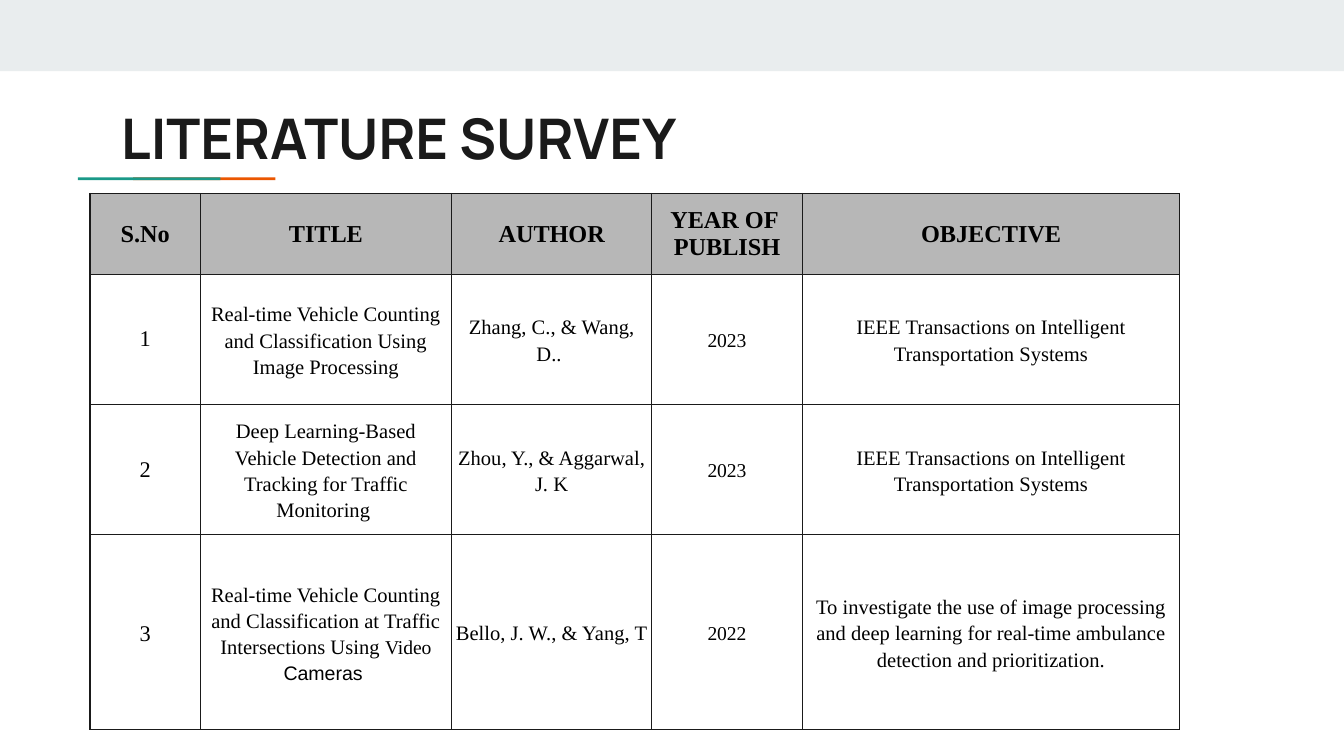
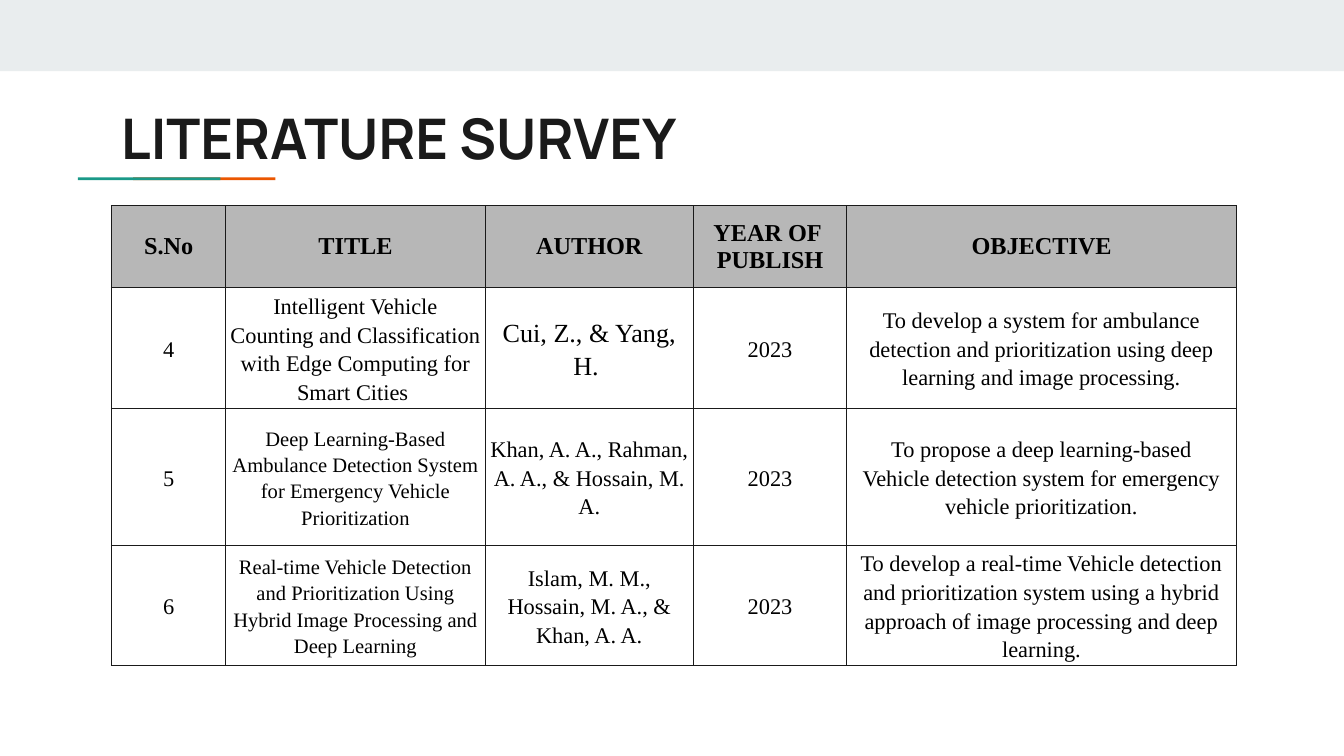
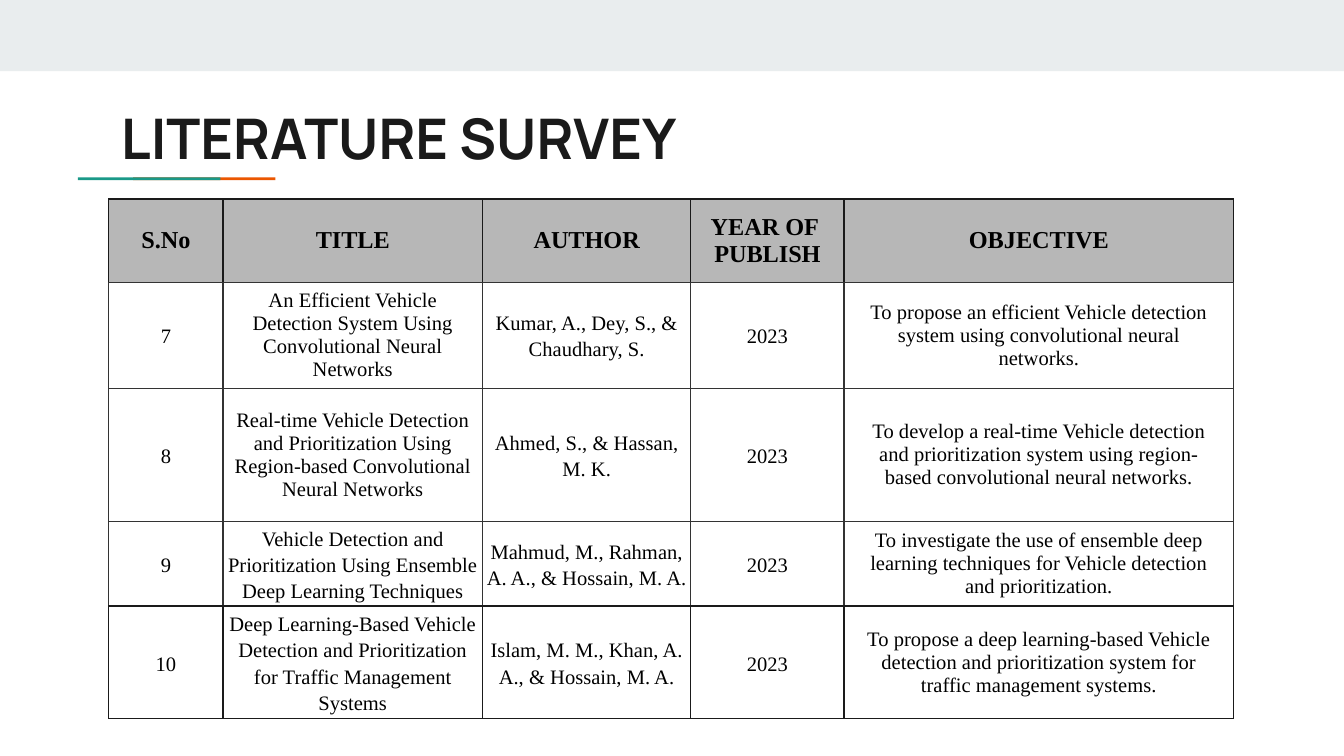
import dataclasses

import lxml.etree
import pptx
import pptx.dml.color
import pptx.enum.shapes
import pptx.enum.text
import pptx.oxml.ns
import pptx.util

Inches = pptx.util.Inches
qn = pptx.oxml.ns.qn

HEADINGS = ("S.No", "TITLE", "AUTHOR", "YEAR OF \nPUBLISH", "OBJECTIVE")
INK, GREY_RULE = "1A1A1A", "333333"
HEADER_MARGINS = (0.1, 0.1)
CELL_MARGINS = [(0.03, 0.02)] * 4 + [(0.1, 0.02)]
LOOSE, SINGLE = 1.15, 1.0


def color(value):
    return pptx.dml.color.RGBColor.from_string(value)


@dataclasses.dataclass
class Span:
    text: str
    size: float
    font: str = "Times New Roman"
    bold: bool = False


@dataclasses.dataclass
class Entry:
    """A table cell that departs from its column's size or line spacing."""
    text: str
    size: float = None
    spacing: float = None
    tail: tuple = ()


@dataclasses.dataclass
class Survey:
    left: float
    top: float
    widths: tuple
    heights: tuple
    sizes: tuple
    spacings: tuple
    rules: tuple
    papers: tuple


class SurveyDeck:
    def __init__(self):
        self.deck = pptx.Presentation()
        self.deck.slide_width = Inches(10)
        self.deck.slide_height = Inches(10) * 9 // 16
        self.page = None

    def add_page(self, title):
        self.page = self.deck.slides.add_slide(self.deck.slide_layouts[5])
        self.add_bar(0, 0, 10, 0.53, "E9EDEE")
        self.add_bar(0.99, 1.32, 1.06, 0.02, "EB5600")
        self.add_bar(0.58, 1.32, 1.06, 0.02, "1A9988")
        self.add_title(title)

    def add_bar(self, left, top, width, height, fill):
        bar = self.page.shapes.add_shape(
            pptx.enum.shapes.MSO_SHAPE.RECTANGLE,
            Inches(left), Inches(top), Inches(width), Inches(height))
        bar.shadow.inherit = False
        bar.fill.solid()
        bar.fill.fore_color.rgb = color(fill)
        bar.line.fill.background()

    def add_title(self, text):
        box = self.page.shapes.title
        box.left, box.top = Inches(0.8), Inches(0.67)
        box.width, box.height = Inches(8.41), Inches(0.59)
        frame = box.text_frame
        frame.margin_left = frame.margin_right = Inches(0.1)
        frame.margin_top = frame.margin_bottom = Inches(0.1)
        frame.auto_size = pptx.enum.text.MSO_AUTO_SIZE.NONE
        frame.vertical_anchor = pptx.enum.text.MSO_ANCHOR.TOP
        para = frame.paragraphs[0]
        para.alignment = pptx.enum.text.PP_ALIGN.LEFT
        self.add_span(para, Span(text, 30, "Manrope", True), INK)

    def add_span(self, para, span, ink="000000"):
        run = para.add_run()
        run.text = span.text
        run.font.name = span.font
        run.font.size = pptx.util.Pt(span.size)
        run.font.bold = span.bold
        run.font.color.rgb = color(ink)

    def add_borders(self, cell, rule, bottom_rule):
        properties = cell._tc.get_or_add_tcPr()
        for side in "LRTB":
            line = lxml.etree.SubElement(
                properties, qn("a:ln" + side), w=str(pptx.util.Pt(0.75)))
            fill = lxml.etree.SubElement(line, qn("a:solidFill"))
            lxml.etree.SubElement(
                fill, qn("a:srgbClr"), val=bottom_rule if side == "B" else rule)

    def fill_cell(self, cell, lines, spacing, margins):
        """Write lines, each a list of spans, centred in the cell."""
        cell.margin_left = cell.margin_right = Inches(margins[0])
        cell.margin_top = cell.margin_bottom = Inches(margins[1])
        cell.vertical_anchor = pptx.enum.text.MSO_ANCHOR.MIDDLE
        frame = cell.text_frame
        for index, spans in enumerate(lines):
            para = frame.add_paragraph() if index else frame.paragraphs[0]
            para.alignment = pptx.enum.text.PP_ALIGN.CENTER
            para.line_spacing = spacing
            for span in spans:
                self.add_span(para, span)

    def add_survey(self, survey):
        table = self.page.shapes.add_table(
            len(survey.heights), len(survey.widths),
            Inches(survey.left), Inches(survey.top),
            Inches(sum(survey.widths)), Inches(sum(survey.heights))).table
        table.first_row = table.horz_banding = False
        for column, width in zip(table.columns, survey.widths):
            column.width = Inches(width)
        next_rules = survey.rules[1:] + survey.rules[-1:]
        for index, row in enumerate(table.rows):
            row.height = Inches(survey.heights[index])
            for cell in row.cells:
                self.add_borders(cell, survey.rules[index], next_rules[index])
                cell.fill.background()

        for cell, heading in zip(table.rows[0].cells, HEADINGS):
            cell.fill.solid()
            cell.fill.fore_color.rgb = color("B7B7B7")
            lines = [[Span(line, 13, bold=True)] for line in heading.split("\n")]
            self.fill_cell(cell, lines, SINGLE, HEADER_MARGINS)

        for row_index, paper in enumerate(survey.papers, 1):
            for column, item in enumerate(paper):
                entry = item if isinstance(item, Entry) else Entry(item)
                size = entry.size or survey.sizes[column]
                spacing = entry.spacing or survey.spacings[column]
                self.fill_cell(
                    table.cell(row_index, column),
                    [[Span(entry.text, size), *entry.tail]],
                    spacing, CELL_MARGINS[column])


WIDE_COLUMNS = (0.85, 1.93, 1.55, 1.14, 2.9)
JOURNAL = "IEEE Transactions on Intelligent Transportation Systems"

SURVEYS = (
    Survey(
        left=0.67, top=1.44,
        widths=(0.82, 1.87, 1.49, 1.12, 2.81),
        heights=(0.6, 0.97, 0.97, 1.45),
        sizes=(12, 11, 11, 10.5, 11),
        spacings=(LOOSE,) * 5,
        rules=(INK,) * 4,
        papers=(
            (Entry("1", spacing=SINGLE),
             "Real-time Vehicle Counting and Classification Using Image Processing",
             "Zhang, C., & Wang, D.. ", "2023", JOURNAL),
            (Entry("2", spacing=SINGLE),
             "Deep Learning-Based Vehicle Detection and Tracking for Traffic "
             "Monitoring ",
             "Zhou, Y., & Aggarwal, J. K", "2023", JOURNAL),
            ("3",
             Entry("Real-time Vehicle Counting and Classification at Traffic "
                   "Intersections Using ",
                   tail=(Span("Video ", 10.5), Span("Cameras ", 10.5, "Arial"))),
             "Bello, J. W., & Yang, T", "2022",
             "To investigate the use of image processing and deep learning for "
             "real-time ambulance detection and prioritization."),
        )),
    Survey(
        left=0.83, top=1.53,
        widths=WIDE_COLUMNS,
        heights=(0.61, 0.9, 1.02, 0.89),
        sizes=(12, 11, 12, 12, 12),
        spacings=(LOOSE,) * 5,
        rules=(INK,) * 4,
        papers=(
            ("4",
             Entry("Intelligent Vehicle Counting and Classification with Edge "
                   "Computing for Smart Cities ", size=12),
             Entry("Cui, Z., & Yang, H. ", size=14), "2023",
             "To develop a system for ambulance detection and prioritization "
             "using deep learning and image processing."),
            ("5",
             "Deep Learning-Based Ambulance Detection System for Emergency "
             "Vehicle Prioritization",
             "Khan, A. A., Rahman, A. A., & Hossain, M. A.", "2023",
             "To propose a deep learning-based Vehicle detection system for "
             "emergency vehicle prioritization."),
            ("6",
             "Real-time Vehicle Detection and Prioritization Using Hybrid Image "
             "Processing and Deep Learning",
             "Islam, M. M., Hossain, M. A., & Khan, A. A.", "2023",
             "To develop a real-time Vehicle detection and prioritization system "
             "using a hybrid approach of image processing and deep learning."),
        )),
    Survey(
        left=0.81, top=1.48,
        widths=WIDE_COLUMNS,
        heights=(0.62, 0.79, 0.99, 0.63, 0.84),
        sizes=(11,) * 5,
        spacings=(LOOSE, SINGLE, LOOSE, LOOSE, SINGLE),
        rules=(INK, GREY_RULE, GREY_RULE, GREY_RULE, INK),
        papers=(
            ("7",
             "An Efficient Vehicle Detection System Using Convolutional Neural "
             "Networks",
             "Kumar, A., Dey, S., & Chaudhary, S.", "2023",
             "To propose an efficient Vehicle detection system using "
             "convolutional neural networks."),
            ("8",
             "Real-time Vehicle Detection and Prioritization Using Region-based "
             "Convolutional Neural Networks",
             "Ahmed, S., & Hassan, M. K.", "2023",
             "To develop a real-time Vehicle detection and prioritization system "
             "using region-based convolutional neural networks."),
            ("9",
             Entry("Vehicle Detection and Prioritization Using Ensemble Deep "
                   "Learning Techniques", spacing=LOOSE),
             "Mahmud, M., Rahman, A. A., & Hossain, M. A.", "2023",
             "To investigate the use of ensemble deep learning techniques for "
             "Vehicle detection and prioritization."),
            ("10",
             Entry("Deep Learning-Based Vehicle Detection and Prioritization for "
                   "Traffic Management Systems", spacing=LOOSE),
             "Islam, M. M., Khan, A. A., & Hossain, M. A.", "2023",
             "To propose a deep learning-based Vehicle detection and "
             "prioritization system for traffic management systems."),
        )),
)


def main():
    builder = SurveyDeck()
    for survey in SURVEYS:
        builder.add_page("LITERATURE SURVEY")
        builder.add_survey(survey)
    builder.deck.save("out.pptx")


if __name__ == "__main__":
    main()
